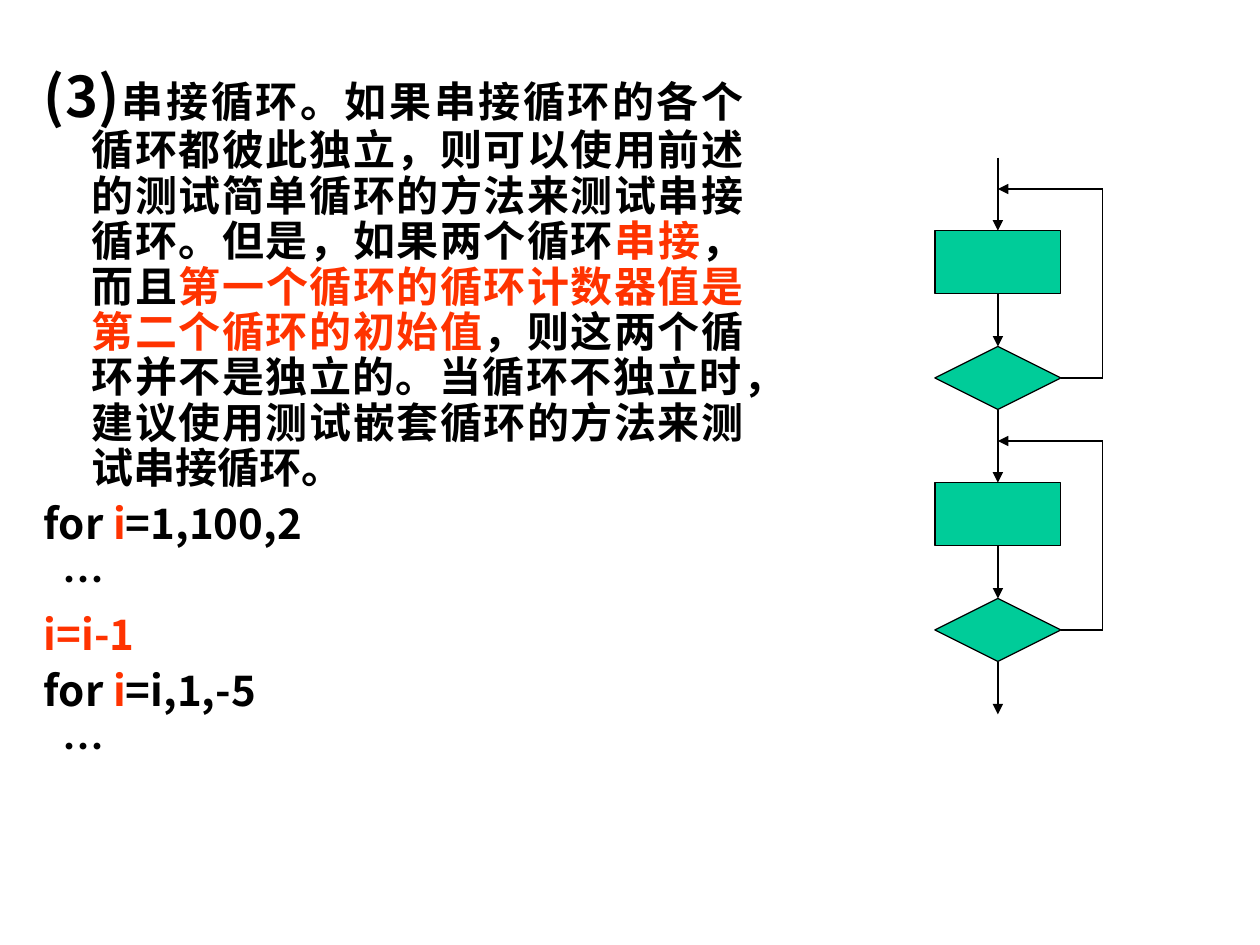
from lxml.etree import SubElement
from pptx import Presentation
from pptx.dml.color import RGBColor
from pptx.enum.shapes import MSO_CONNECTOR as CONN, MSO_SHAPE as SHAPE
from pptx.enum.text import PP_ALIGN as ALIGN
from pptx.oxml.ns import qn
from pptx.util import Inches, Pt

FONT = "Noto Sans CJK SC"
COLORS = {"text": "000000", "accent": "FF3300", "node": "00CC99", "line": "000000"}

PARAGRAPHS = [
    [
        ("(3)", "text", 32),
        ("串接循环。如果串接循环的各个循环都彼此独立，则可以使用前述的测试简单循环的方法来测试串接循环。但是，如果两个循环", "text", 24),
        ("串接", "accent", 24),
        ("，而且", "text", 24),
        ("第一个循环的循环计数器值是第二个循环的初始值", "accent", 24),
        ("，则这两个循环并不是独立的。当循环不独立时，建议使用测试嵌套循环的方法来测试串接循环。", "text", 24),
    ],
    [("for ", "text", 24), ("i", "accent", 24), ("=1,100,2", "text", 24)],
    [("  …", "text", 24)],
    [("i=i-1", "accent", 24)],
    [("for ", "text", 24), ("i", "accent", 24), ("=i,1,-5", "text", 24)],
    [("  …", "text", 24)],
]

CENTER_X, RETURN_X = 7.92, 8.75
NODE_W, NODE_H = 1, 0.5
FLOW_START, FLOW_END = 1.25, 5.67
LOOP_TOPS = [1.5, 3.5]
BODY_OFFSET, TEST_OFFSET = 0.33, 1.25


def rgb(name):
    return RGBColor.from_string(COLORS[name])


def add_text(slide):
    tf = slide.shapes.add_textbox(Inches(0.25), Inches(0.5), Inches(5.75), Inches(6.17)).text_frame
    tf.word_wrap = True
    for i, runs in enumerate(PARAGRAPHS):
        p = tf.paragraphs[0] if i == 0 else tf.add_paragraph()
        p.alignment = ALIGN.JUSTIFY
        p.line_spacing = 0.9
        p.space_before = Pt(6 if i else 0)
        pPr = p._p.get_or_add_pPr()
        pPr.set("marL", str(Inches(0.38)))
        pPr.set("indent", str(-Inches(0.38)))
        p.font.bold = True
        p.font.name = FONT
        SubElement(pPr.find(qn("a:defRPr")), qn("a:ea"), typeface=FONT)
        for text, color, size in runs:
            r = p.add_run()
            r.text = text
            r.font.size = Pt(size)
            r.font.color.rgb = rgb(color)


def add_node(slide, kind, top):
    sp = slide.shapes.add_shape(kind, Inches(CENTER_X - NODE_W / 2), Inches(top), Inches(NODE_W), Inches(NODE_H))
    sp.shadow.inherit = False
    sp.fill.solid()
    sp.fill.fore_color.rgb = rgb("node")
    sp.line.color.rgb = rgb("line")
    sp.line.width = Pt(0.75)


def add_line(slide, start, end, arrow=False):
    c = slide.shapes.add_connector(CONN.STRAIGHT, *map(Inches, start + end))
    c.line.color.rgb = rgb("line")
    c.line.width = Pt(0.75)
    if arrow:
        SubElement(c.line._get_or_add_ln(), qn("a:tailEnd"), type="triangle")
    SubElement(c._element.spPr, qn("a:effectLst"))


def add_loop(slide, top, entry):
    body, test = top + BODY_OFFSET, top + TEST_OFFSET
    mid = test + NODE_H / 2
    add_node(slide, SHAPE.FLOWCHART_DECISION, test)
    add_node(slide, SHAPE.RECTANGLE, body)
    add_line(slide, (CENTER_X, entry), (CENTER_X, body), arrow=True)
    add_line(slide, (CENTER_X, body + NODE_H), (CENTER_X, test), arrow=True)
    add_line(slide, (CENTER_X + NODE_W / 2, mid), (RETURN_X, mid))
    add_line(slide, (RETURN_X, mid), (RETURN_X, top))
    add_line(slide, (RETURN_X, top), (CENTER_X, top), arrow=True)
    return test + NODE_H


def main():
    prs = Presentation()
    prs.slide_width, prs.slide_height = Inches(10), Inches(7.5)
    s = prs.slides.add_slide(prs.slide_layouts[6])
    add_text(s)
    y = FLOW_START
    for top in LOOP_TOPS:
        y = add_loop(s, top, y)
    add_line(s, (CENTER_X, y), (CENTER_X, FLOW_END), arrow=True)
    prs.save("out.pptx")


if __name__ == "__main__":
    main()
